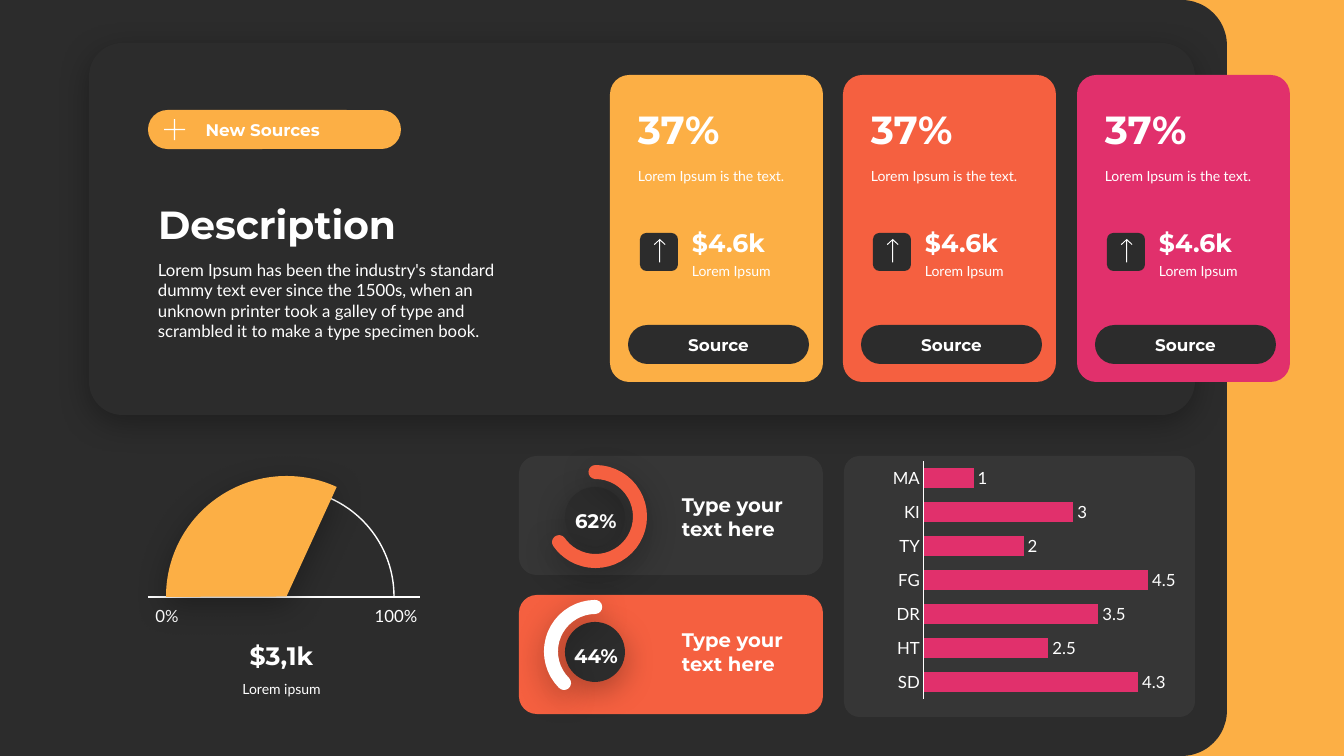
import pptx
import pptx.chart.data
import pptx.dml.color
import pptx.enum.chart
import pptx.enum.shapes
import pptx.enum.text
import pptx.oxml.ns
import pptx.util
from lxml import etree

RGB = pptx.dml.color.RGBColor
DARK = RGB(0x2C, 0x2C, 0x2C)
WHITE = RGB(0xFF, 0xFF, 0xFF)
YELLOW = RGB(0xFC, 0xAF, 0x45)
ORANGE = RGB(0xF5, 0x60, 0x40)
PINK = RGB(0xE1, 0x30, 0x6C)

SHAPE = pptx.enum.shapes.MSO_SHAPE
ALIGN = pptx.enum.text.PP_ALIGN
ANCHOR = pptx.enum.text.MSO_ANCHOR
Pt = pptx.util.Pt
qn = pptx.oxml.ns.qn

EMU_PER_PX = 914400 / 100.8
HEAD = {"name": "Montserrat", "bold": True}
BODY = {"name": "Lato", "bold": False}

# Outlines in tenths of a px
ARROW = [(58, 0), (115, 52), (109, 60), (63, 16), (63, 233),
         (53, 233), (53, 16), (6, 60), (0, 52)]
PLUS = [(100, 0), (110, 0), (110, 100), (210, 100), (210, 110), (110, 110),
        (110, 210), (100, 210), (100, 110), (0, 110), (0, 100), (100, 100)]


def px(*values):
    return [pptx.util.Emu(round(v * EMU_PER_PX)) for v in values]


def set_font(font, size, look, color=WHITE):
    for name, value in {**look, "size": Pt(size)}.items():
        setattr(font, name, value)
    font.color.rgb = color


def write(sp, text, size, look, align=ALIGN.LEFT, **frame):
    """Put one paragraph in sp; frame holds text frame attributes."""
    tf = sp.text_frame
    for name, value in {"word_wrap": True, **frame}.items():
        setattr(tf, name, value)
    p = tf.paragraphs[0]
    p.alignment = align
    r = p.add_run()
    r.text = text
    set_font(r.font, size, look)


def add_text(s, box, text, size, look, align=ALIGN.LEFT, **frame):
    sp = s.shapes.add_textbox(*px(*box))
    write(sp, text, size, look, align, **frame)


def add_shadow(sp):
    effects = sp.element.spPr.find(qn("a:effectLst"))
    outer = etree.SubElement(effects, qn("a:outerShdw"), blurRad=str(Pt(23)),
                             dist=str(Pt(6)), dir="5400000", algn="t", rotWithShape="0")
    black = etree.SubElement(outer, qn("a:srgbClr"), val="000000")
    etree.SubElement(black, qn("a:alpha"), val="30000")


def add_block(s, kind, box, fill=None, adj=(), shadow=False, opacity=None):
    sp = s.shapes.add_shape(kind, *px(*box))
    sp.shadow.inherit = False
    for i, value in enumerate(adj):
        sp.adjustments[i] = value
    if fill is None:
        sp.fill.background()
    else:
        sp.fill.solid()
        sp.fill.fore_color.rgb = fill
    sp.line.fill.background()
    if opacity:
        color = sp.element.spPr.find(".//" + qn("a:srgbClr"))
        etree.SubElement(color, qn("a:alpha"), val=str(opacity * 1000))
    if shadow:
        add_shadow(sp)
    return sp


def add_rounded(s, box, fill, radius, **options):
    return add_block(s, SHAPE.ROUNDED_RECTANGLE, box, fill, [radius], **options)


def add_arc(s, box, start, end, fill=None, line=None, width=1, shadow=False):
    """Arc between two angles in degrees, clockwise from the right."""
    sp = add_block(s, SHAPE.ARC, box, fill, [start * 0.6, end * 0.6], shadow)
    if line is not None:
        sp.line.color.rgb = line
        sp.line.width = Pt(width)
    return sp


def add_icon(s, outline, x, y):
    builder = s.shapes.build_freeform(*outline[0], scale=EMU_PER_PX / 10)
    builder.add_line_segments(outline[1:], close=True)
    sp = builder.convert_to_shape(*px(x, y))
    sp.shadow.inherit = False
    sp.fill.solid()
    sp.fill.fore_color.rgb = WHITE
    sp.line.fill.background()


def add_card(s, x, color):
    flush = {"margin_left": 0, "margin_right": 0}
    add_rounded(s, (x, 75, 213, 307), color, 0.09)
    add_text(s, (x + 18, 163, 185, 27), "Lorem Ipsum is the text.", 10, BODY)
    add_text(s, (x + 18, 100, 190, 57), "37%", 28, HEAD, vertical_anchor=ANCHOR.BOTTOM)
    add_rounded(s, (x + 30, 233, 38, 38), DARK, 0.17)
    add_icon(s, ARROW, x + 44, 239)
    add_text(s, (x + 82, 258, 105, 27), "Lorem Ipsum", 10, BODY, **flush)
    add_text(s, (x + 82, 223, 105, 40), "$4.6k", 18, HEAD,
             vertical_anchor=ANCHOR.BOTTOM, **flush)
    button = add_rounded(s, (x + 18, 325, 181, 39), DARK, 0.5)
    write(button, "Source", 12, HEAD, ALIGN.CENTER, vertical_anchor=ANCHOR.MIDDLE)


def add_description(s):
    add_rounded(s, (89, 43, 1106, 372), DARK, 0.09, shadow=True)
    pill = add_rounded(s, (148, 110, 253, 39), YELLOW, 0.5)
    write(pill, "New Sources", 12, HEAD, vertical_anchor=ANCHOR.MIDDLE,
          margin_left=px(52)[0])
    add_icon(s, PLUS, 164, 119)
    title = s.shapes.title
    title.left, title.top, title.width, title.height = px(148, 195, 371, 57)
    write(title, "Description", 28, HEAD, vertical_anchor=ANCHOR.BOTTOM,
          auto_size=pptx.enum.text.MSO_AUTO_SIZE.NONE)
    title.element.getparent().append(title.element)  # in front of the panel
    add_text(s, (148, 255, 371, 92),
             "Lorem Ipsum has been the industry's standard dummy text ever since "
             "the 1500s, when an unknown printer took a galley of type and "
             "scrambled it to make a type specimen book.", 12, BODY)


def add_gauge(s):
    add_arc(s, (179, 489, 215, 215), 179.82, 0, line=WHITE)
    base = s.shapes.add_connector(pptx.enum.shapes.MSO_CONNECTOR.STRAIGHT,
                                  *px(148, 597, 420, 597))
    base.line.color.rgb = WHITE
    base.line.width = Pt(1)
    etree.SubElement(base.element.spPr, qn("a:effectLst"))
    for x, width, text in ((150, 34, "0%"), (369, 54, "100%")):
        add_text(s, (x, 606, width, 20), text, 12, BODY, ALIGN.CENTER,
                 word_wrap=False, vertical_anchor=ANCHOR.MIDDLE, margin_left=0,
                 margin_right=0, margin_top=0, margin_bottom=0)
    add_arc(s, (166, 476, 241, 241), 179.82, 294.6, fill=YELLOW, shadow=True)
    add_text(s, (160, 676, 243, 27), "Lorem ipsum", 10, BODY, ALIGN.CENTER)
    add_text(s, (160, 636, 243, 40), "$3,1k", 18, HEAD, ALIGN.CENTER,
             vertical_anchor=ANCHOR.BOTTOM)


def add_ring(s, y, text, start, end, color):
    """Percentage ring with its caption, the ring's box starting at y."""
    add_block(s, SHAPE.OVAL, (565, y + 15, 60, 60), DARK, shadow=True)
    add_text(s, (562, y + 31, 68, 34), text, 14, HEAD, ALIGN.CENTER,
             vertical_anchor=ANCHOR.BOTTOM)
    ring = add_arc(s, (551, y, 89, 89), start, end, line=color, width=10, shadow=True)
    ring.element.spPr.find(qn("a:ln")).set("cap", "rnd")
    add_text(s, (672, y + 16, 131, 57), "Type your text here", 14, HEAD,
             vertical_anchor=ANCHOR.MIDDLE)


def add_bars(s):
    data = pptx.chart.data.CategoryChartData()
    data.categories = ["SD", "HT", "DR", "FG", "TY", "KI", "MA"]
    data.add_series("Series 1", [4.3, 2.5, 3.5, 4.5, 2, 3, 1])
    chart = s.shapes.add_chart(pptx.enum.chart.XL_CHART_TYPE.BAR_CLUSTERED,
                               *px(887, 456, 292, 248), data).chart
    chart.has_legend = chart.has_title = False
    set_font(chart.font, 10, BODY)

    values = chart.value_axis
    for name, value in {"visible": False, "has_major_gridlines": False,
                        "minimum_scale": 0, "maximum_scale": 5}.items():
        setattr(values, name, value)
    cats = chart.category_axis
    cats.major_tick_mark = pptx.enum.chart.XL_TICK_MARK.NONE
    cats.format.line.color.rgb = WHITE
    cats.format.line.width = Pt(0.75)
    set_font(cats.tick_labels.font, 12, BODY)

    plot = chart.plots[0]
    plot.gap_width = 75
    plot.vary_by_categories = False
    fill = plot.series[0].format.fill
    fill.solid()
    fill.fore_color.rgb = PINK
    labels = plot.series[0].data_labels
    labels.show_value = True
    labels.position = pptx.enum.chart.XL_LABEL_POSITION.OUTSIDE_END
    set_font(labels.font, 12, BODY)


def main():
    prs = pptx.Presentation()
    prs.slide_width, prs.slide_height = px(1344, 756)
    s = prs.slides.add_slide(prs.slide_layouts[5])
    s.background.fill.solid()
    s.background.fill.fore_color.rgb = DARK

    add_block(s, SHAPE.RECTANGLE, (1093, 0, 251, 756), YELLOW)
    add_rounded(s, (0, 0, 1227, 756), DARK, 0.06)
    add_description(s)
    for i, color in enumerate((YELLOW, ORANGE, PINK)):
        add_card(s, 610 + 467 * i // 2, color)

    add_gauge(s)
    add_rounded(s, (519, 456, 304, 119), WHITE, 0.15, opacity=5)
    add_ring(s, 472, "62%", 270, 144.9, ORANGE)
    add_rounded(s, (519, 595, 304, 119), ORANGE, 0.15)
    add_ring(s, 607, "44%", 134.9, 269.65, WHITE)
    add_rounded(s, (844, 456, 351, 261), WHITE, 0.06, opacity=5)
    add_bars(s)
    prs.save("out.pptx")


if __name__ == "__main__":
    main()
